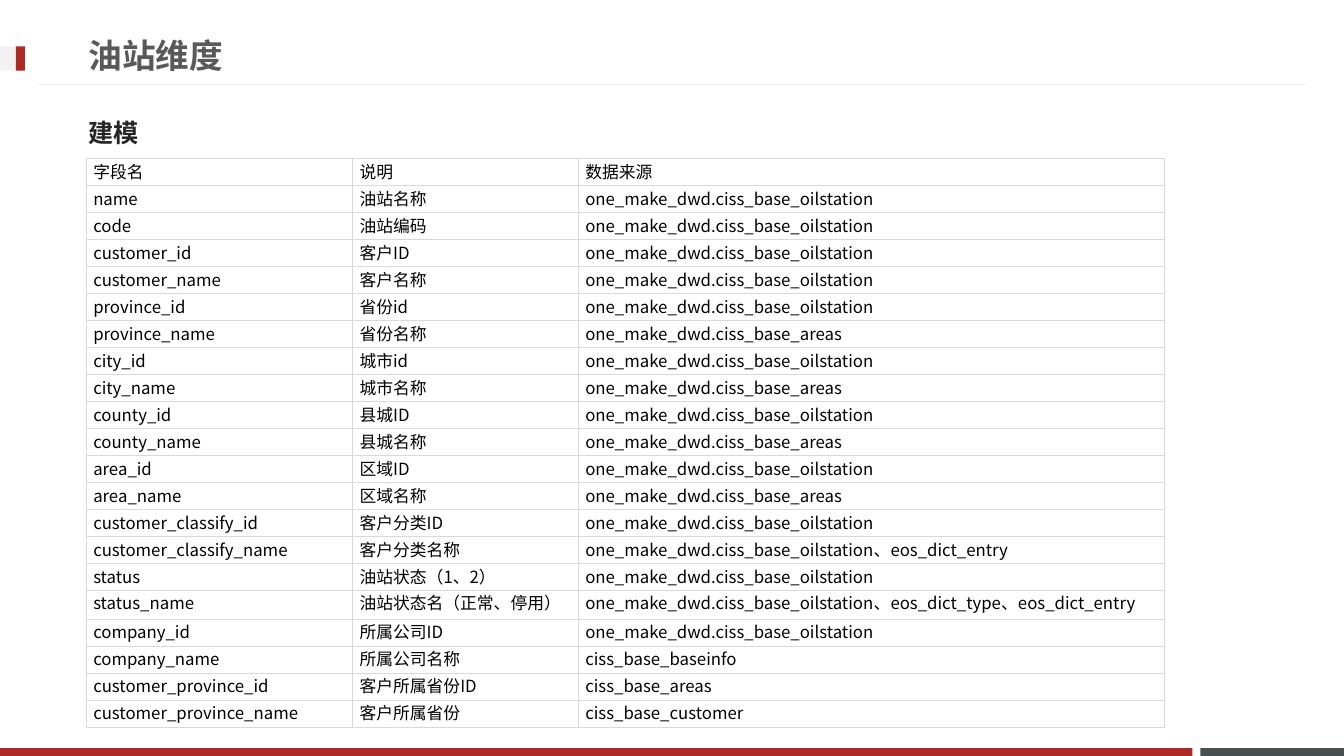
from lxml.etree import SubElement
from pptx import Presentation
from pptx.dml.color import RGBColor
from pptx.enum.shapes import MSO_CONNECTOR, MSO_SHAPE
from pptx.enum.text import MSO_ANCHOR
from pptx.oxml.ns import qn
from pptx.util import Cm, Pt

COLOURS = {
    "red": "AD2B26",
    "slate": "49504F",
    "pale": "F2F2F2",
    "title": "595959",
    "heading": "262626",
    "text": "000000",
    "border": "D9D9D9",
}
OIL = "one_make_dwd.ciss_base_oilstation"
AREAS = "one_make_dwd.ciss_base_areas"
FIELDS = [
    ("字段名", "说明", "数据来源"),
    ("name", "油站名称", OIL),
    ("code", "油站编码", OIL),
    ("customer_id", "客户ID", OIL),
    ("customer_name", "客户名称", OIL),
    ("province_id", "省份id", OIL),
    ("province_name", "省份名称", AREAS),
    ("city_id", "城市id", OIL),
    ("city_name", "城市名称", AREAS),
    ("county_id", "县城ID", OIL),
    ("county_name", "县城名称", AREAS),
    ("area_id", "区域ID", OIL),
    ("area_name", "区域名称", AREAS),
    ("customer_classify_id", "客户分类ID", OIL),
    ("customer_classify_name", "客户分类名称", OIL + "、eos_dict_entry"),
    ("status", "油站状态（1、2）", OIL),
    ("status_name", "油站状态名（正常、停用）", OIL + "、eos_dict_type、eos_dict_entry"),
    ("company_id", "所属公司ID", OIL),
    ("company_name", "所属公司名称", "ciss_base_baseinfo"),
    ("customer_province_id", "客户所属省份ID", "ciss_base_areas"),
    ("customer_province_name", "客户所属省份", "ciss_base_customer"),
]
COLUMN_WIDTHS = [6.71, 5.69, 14.78]
ROW_HEIGHT = 0.68
TALL_ROW_HEIGHT = 0.73


def write(para, text, colour, east_asian, **formats):
    span = para.add_run()
    span.text = text
    span.font.color.rgb = RGBColor.from_string(COLOURS[colour])
    for key, value in formats.items():
        setattr(span.font, key, value)
    SubElement(span.font._element, qn("a:ea"), typeface=east_asian)


def add_borders(cell):
    properties = cell._tc.get_or_add_tcPr()
    for place, side in enumerate(("a:lnL", "a:lnR", "a:lnT", "a:lnB")):
        line = SubElement(properties, qn(side), w=str(Pt(1)))
        fill = SubElement(line, qn("a:solidFill"))
        SubElement(fill, qn("a:srgbClr"), val=COLOURS["border"])
        properties.insert(place, line)


deck = Presentation()
deck.slide_width, deck.slide_height = Cm(33.87), Cm(19.05)
page = deck.slides.add_slide(deck.slide_layouts[6])

for colour, *place in [
    ("slate", 30.25, 18.85, 3.62, 0.2),
    ("red", 0, 18.85, 30.05, 0.2),
    ("pale", 0, 1.17, 0.63, 0.61),
    ("red", 0.4, 1.17, 0.23, 0.61),
]:
    bar = page.shapes.add_shape(MSO_SHAPE.RECTANGLE, *map(Cm, place))
    bar.shadow.inherit = False
    bar.fill.solid()
    bar.fill.fore_color.rgb = RGBColor.from_string(COLOURS[colour])
    bar.line.fill.background()

rule = page.shapes.add_connector(
    MSO_CONNECTOR.STRAIGHT, Cm(32.97), Cm(2.13), Cm(0.9), Cm(2.13)
)
rule.line.color.rgb = RGBColor.from_string(COLOURS["pale"])
rule.line.width = Pt(0.75)
SubElement(rule._element.spPr, qn("a:effectLst"))

for text, top, width, colour, east_asian, formats in [
    ("油站维度", 0.66, 24.36, "title", "Noto Sans CJK SC",
     {"name": "Roboto", "size": Pt(24), "bold": True}),
    ("建模", 2.62, 29.72, "heading", "Noto Sans CJK JP",
     {"name": "Noto Sans CJK JP", "size": Pt(18), "bold": True}),
]:
    box = page.shapes.add_textbox(Cm(1.98), Cm(top), Cm(width), Cm(1.45))
    box.text_frame.word_wrap = True
    box.text_frame.vertical_anchor = MSO_ANCHOR.MIDDLE
    write(box.text_frame.paragraphs[0], text, colour, east_asian, **formats)

row_heights = [
    TALL_ROW_HEIGHT if name == "status_name" else ROW_HEIGHT for name, *_ in FIELDS
]
frame = page.shapes.add_table(
    len(FIELDS), len(COLUMN_WIDTHS),
    Cm(2.17), Cm(4), Cm(sum(COLUMN_WIDTHS)), Cm(sum(row_heights)),
)
table = frame.table
table.first_row = table.horz_banding = False
for column, width in zip(table.columns, COLUMN_WIDTHS):
    column.width = Cm(width)
for row, height, texts in zip(table.rows, row_heights, FIELDS):
    row.height = Cm(height)
    for cell, text in zip(row.cells, texts):
        for key, value in {
            "margin_left": Cm(0.18),
            "margin_right": Cm(0.18),
            "margin_top": 0,
            "margin_bottom": 0,
            "vertical_anchor": MSO_ANCHOR.TOP,
        }.items():
            setattr(cell, key, value)
        cell.fill.background()
        add_borders(cell)
        write(cell.text_frame.paragraphs[0], text, "text", "Noto Sans CJK SC",
              name="Noto Sans CJK SC", size=Pt(12))

deck.save("out.pptx")
